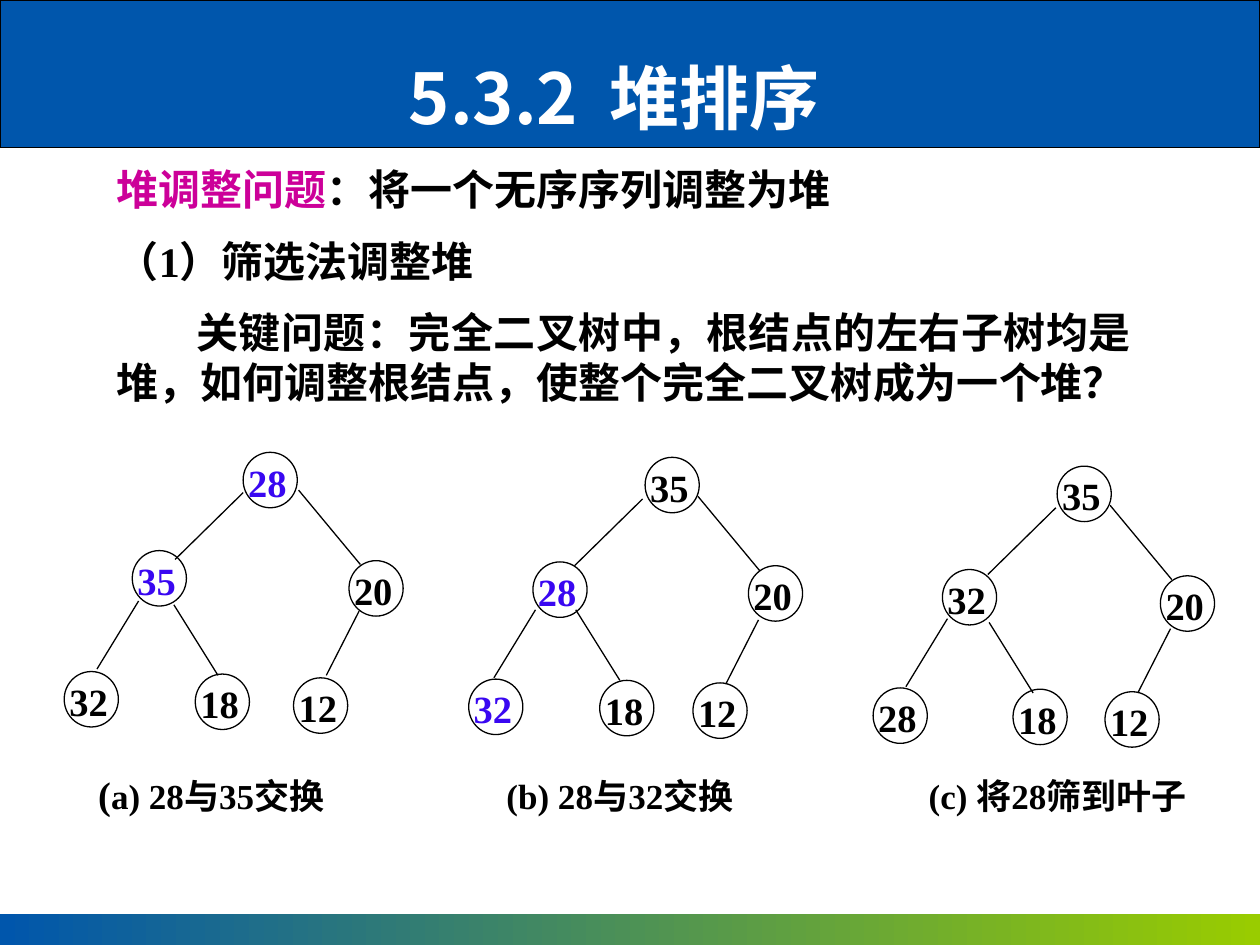
from lxml.etree import SubElement
from pptx import Presentation
from pptx.dml.color import RGBColor
from pptx.enum.shapes import MSO_CONNECTOR as Connector, MSO_SHAPE as Shape
from pptx.enum.text import MSO_ANCHOR as Anchor, PP_ALIGN as Align
from pptx.oxml.ns import qn
from pptx.util import Inches, Pt

SERIF = "Times New Roman"
SANS = "Noto Sans CJK SC"
BLACK, WHITE, BLUE, GREEN = "000000", "FFFFFF", "0056AC", "99CC00"
PINK, VIOLET = "CC0099", "3907F1"
NODE_WIDTH, NODE_HEIGHT = 0.43, 0.44

EDGE_SPANS = [(-0.54, 0.53), (0.49, 0.59), (-0.33, 0.54), (0.35, 0.56), (-0.26, 0.51)]
TREES = [
    {
        "nodes": [("28", 1.93, 3.59, VIOLET), ("35", 1.05, 4.37, VIOLET), ("20", 2.77, 4.45, BLACK),
                  ("32", 0.51, 5.33, BLACK), ("18", 1.55, 5.35, BLACK), ("12", 2.33, 5.38, BLACK)],
        "edge_starts": [(1.93, 3.91), (2.37, 3.89), (1.1, 4.77), (1.38, 4.8), (2.85, 4.85)],
        "caption": [("(", 22), ("a) 28与35交换", 20)],
        "caption_area": (0.76, 6, 1.94, 0.5),
    },
    {
        "nodes": [("35", 5.12, 3.63, BLACK), ("28", 4.23, 4.46, VIOLET), ("20", 5.94, 4.49, BLACK),
                  ("32", 3.72, 5.39, VIOLET), ("18", 4.76, 5.4, BLACK), ("12", 5.5, 5.42, BLACK)],
        "edge_starts": [(5.1, 3.96), (5.54, 3.94), (4.25, 4.84), (4.57, 4.84), (6.02, 4.92)],
        "caption": [("(b) 28与32交换", 20)],
        "caption_area": (4, 6.03, 1.97, 0.46),
    },
    {
        "nodes": [("35", 8.39, 3.7, BLACK), ("32", 7.48, 4.52, BLACK), ("20", 9.21, 4.57, BLACK),
                  ("28", 6.93, 5.46, BLACK), ("18", 8.04, 5.47, BLACK), ("12", 8.77, 5.49, BLACK)],
        "edge_starts": [(8.38, 4.03), (8.81, 4.01), (7.52, 4.91), (7.85, 4.94), (9.29, 4.99)],
        "caption": [("(c) 将28筛到叶子", 20)],
        "caption_area": (7.35, 6.03, 2.22, 0.48),
    },
]


def color(hex_text):
    """Turn a hex string into a colour."""
    return RGBColor.from_string(hex_text)


def add_span(para, text, size, hex_text=BLACK, font=SERIF):
    """Add one bold run with its Latin and East Asian fonts."""
    span = para.add_run()
    span.text = text
    span.font.size = Pt(size)
    span.font.bold = True
    span.font.name = font
    span.font.color.rgb = color(hex_text)
    SubElement(span.font._element, qn("a:ea"), typeface=SANS)
    return span


def add_box(page, area, insets=(0.1, 0.05, 0.1, 0.05)):
    """Add a wrapping text box and return its text frame."""
    frame = page.shapes.add_textbox(*map(Inches, area)).text_frame
    frame.word_wrap = True
    frame.margin_left, frame.margin_top, frame.margin_right, frame.margin_bottom = map(Inches, insets)
    return frame


def add_outlined(page, kind, area):
    """Add an unfilled preset shape with a thin black outline."""
    shape = page.shapes.add_shape(kind, *map(Inches, area))
    shape.shadow.inherit = False
    shape.fill.background()
    shape.line.color.rgb = color(BLACK)
    shape.line.width = Pt(0.75)
    return shape


def add_bands(page):
    """Add the header band and the gradient footer band."""
    header = add_outlined(page, Shape.RECTANGLE, (0, 0, 10, 1.17))
    header.fill.solid()
    header.fill.fore_color.rgb = color(BLUE)
    footer = add_outlined(page, Shape.RECTANGLE, (0, 7.25, 10, 0.25))
    footer.line.fill.background()
    footer.fill.gradient()
    footer.fill.gradient_angle = 0
    for stop, hex_text in zip(footer.fill.gradient_stops, (BLUE, GREEN)):
        stop.color.rgb = color(hex_text)


def add_title(page):
    """Add the section title with a widened gap after its number."""
    frame = add_box(page, (1.6, 0.38, 6.67, 0.77), (0.1, 0.05, 0.22, 0.05))
    frame.vertical_anchor = Anchor.MIDDLE
    para = frame.paragraphs[0]
    para.alignment = Align.CENTER
    add_span(para, "5.3.2", 40, WHITE, SANS)
    gap = add_span(para, " ", 40, WHITE, SANS)
    gap.font._element.set("spc", "900")
    add_span(para, "堆排序", 40, WHITE, SANS)


def add_body(page):
    """Add the problem statement."""
    frame = add_box(page, (0.83, 1.25, 8.25, 2.12))
    problem, method, question = frame.paragraphs[0], frame.add_paragraph(), frame.add_paragraph()
    add_span(problem, "堆调整问题", 24, PINK)
    add_span(problem, "：将一个无序序列调整为堆", 24)
    add_span(method, "（1）筛选法调整堆", 24)
    add_span(question, "关键问题：完全二叉树中，根结点的左右子树均是堆，"
                       "如何调整根结点，使整个完全二叉树成为一个堆？", 24)
    for para in frame.paragraphs:
        para.alignment = Align.JUSTIFY
    for para in (method, question):
        para.space_before = Pt(12)
    question._p.get_or_add_pPr().set("indent", str(Inches(0.63)))


def add_node(page, key, left, top, hex_text):
    """Add a circled key."""
    add_outlined(page, Shape.OVAL, (left, top, NODE_WIDTH, NODE_HEIGHT))
    frame = add_box(page, (left + 0.03, top - 0.07, 0.38, 0.55), (0.01, 0.12, 0, 0.01))
    add_span(frame.paragraphs[0], key, 22, hex_text)


def add_edge(page, start, span):
    """Add a thin line from a parent towards its child."""
    (left, top), (across, down) = start, span
    ends = (left, top, left + across, top + down)
    edge = page.shapes.add_connector(Connector.STRAIGHT, *map(Inches, ends))
    edge.line.color.rgb = color(BLACK)
    edge.line.width = Pt(0.75)
    SubElement(edge._element.spPr, qn("a:effectLst"))


def add_tree(page, tree):
    """Add one heap step with its caption."""
    for start, span in zip(tree["edge_starts"], EDGE_SPANS):
        add_edge(page, start, span)
    for node in tree["nodes"]:
        add_node(page, *node)
    para = add_box(page, tree["caption_area"], (0.02, 0.12, 0.02, 0.01)).paragraphs[0]
    para.alignment = Align.JUSTIFY
    for text, size in tree["caption"]:
        add_span(para, text, size)


def main():
    """Build and save the deck."""
    deck = Presentation()
    deck.slide_width, deck.slide_height = Inches(10), Inches(7.5)
    page = deck.slides.add_slide(deck.slide_layouts[6])
    add_bands(page)
    add_title(page)
    add_body(page)
    for tree in TREES:
        add_tree(page, tree)
    deck.save("out.pptx")


if __name__ == "__main__":
    main()
